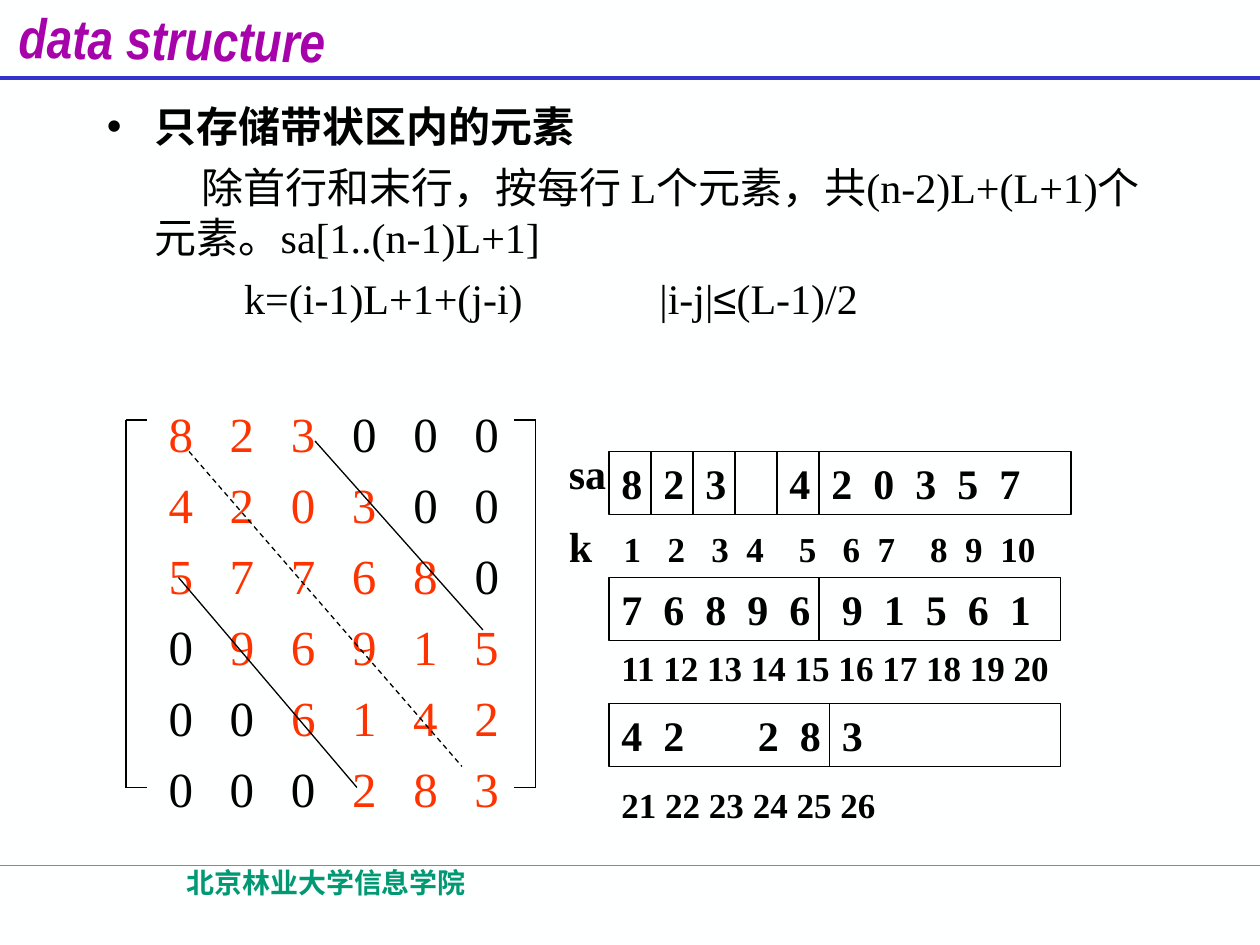
from itertools import groupby
from pptx import Presentation
from pptx.dml.color import RGBColor
from pptx.enum.dml import MSO_LINE
from pptx.enum.shapes import MSO_CONNECTOR, MSO_SHAPE
from pptx.enum.text import MSO_ANCHOR, PP_ALIGN
from pptx.oxml.ns import qn
from pptx.util import Inches, Pt
from lxml.etree import SubElement

C = {"bg": "FEFFFF", "ink": "000000", "band": "FF3300", "title": "A603AB",
     "rule": "3333CC", "foot_rule": "00CC99", "foot": "009973"}
SERIF, CJK = "Times New Roman", "Noto Sans CJK SC"

prs = Presentation()
prs.slide_width, prs.slide_height = Inches(10), Inches(7.5)
s = prs.slides.add_slide(prs.slide_layouts[6])
s.background.fill.solid()
s.background.fill.fore_color.rgb = RGBColor.from_string(C["bg"])
U = prs.slide_width / 120


def layout(p, size, before=0, left=0, first=0, bullet=None):
    p.alignment = PP_ALIGN.LEFT
    p.line_spacing = Pt(round(size * 1.2, 1))
    p.space_before = Pt(before)
    pPr = p._p.get_or_add_pPr()
    pPr.set("marL", str(Inches(left)))
    pPr.set("indent", str(Inches(first)))
    if bullet:
        SubElement(pPr, qn("a:buFont")).set("typeface", "Arial")
        SubElement(pPr, qn("a:buChar")).set("char", bullet)
    else:
        SubElement(pPr, qn("a:buNone"))


def add_run(p, text, size, color="ink", font=SERIF, bold=False, italic=False, spacing=0):
    r = p.add_run()
    r.text = text
    r.font.size = Pt(size)
    r.font.bold, r.font.italic = bold, italic
    r.font.color.rgb = RGBColor.from_string(C[color])
    r.font.name = font
    rPr = r._r.get_or_add_rPr()
    SubElement(rPr, qn("a:ea")).set("typeface", CJK)
    if spacing:
        rPr.set("spc", str(int(spacing * 100)))


sp = s.shapes.add_textbox(Inches(0.15), Inches(-0.01), Inches(2.8), Inches(0.54))
sp.rotation = 0.8
tf = sp.text_frame
tf.margin_left = tf.margin_right = 0
tf.word_wrap = True
p = tf.paragraphs[0]
layout(p, 32)
add_run(p, "data structure", 32, "title", "Arial Narrow", True, True)

sp = s.shapes.add_textbox(*(int(v * U) for v in (9, 9, 102, 72)))
tf = sp.text_frame
tf.word_wrap = True
p = tf.paragraphs[0]
layout(p, 24, left=0.38, first=-0.38, bullet="•")
add_run(p, "只存储带状区内的元素", 24, bold=True)
p = tf.add_paragraph()
layout(p, 24, before=6, left=0.38, first=0.37)
add_run(p, "除首行和末行，按每行 L个元素，共(n-2)L+(L+1)个元素。sa[1..(n-1)L+1]", 24)
p = tf.add_paragraph()
layout(p, 24, before=6, left=1.09)
add_run(p, "k=(i-1)L+1+(j-i)", 24)
add_run(p, " ", 24, spacing=72)
add_run(p, "|i-j|", 24)
add_run(p, "≤", 24, font="Arial")
add_run(p, "(L-1)/2", 24)

matrix = ["823000", "420300", "577680", "096915", "006142", "000283"]
for i, row in enumerate(matrix):
    p = tf.add_paragraph()
    layout(p, 28, before=7 if i else 46, left=0.49)
    for in_band, cells in groupby(enumerate(row), lambda c: abs(i - c[0]) <= 2):
        cells = list(cells)
        text = " ".join(v for _, v in cells)
        if cells[-1][0] < len(row) - 1:
            text += " "
        add_run(p, text, 28, "band" if in_band else "ink", spacing=7)

arrays = [
    (43, 44, [("8 2 3", 3), (" ", 27), ("4 2 0 3 5 7", 3)]),
    (55, 43, [("7 6 8 9 6", 3), (" ", 9), ("9 1 5 6 1", 3)]),
    (67, 43, [("4 2", 3), (" ", 33), ("2 8 3", 3)]),
]
for top, width, runs in arrays:
    sp = s.shapes.add_shape(MSO_SHAPE.RECTANGLE, *(int(v * U) for v in (58, top, width, 6)))
    sp.shadow.inherit = False
    sp.fill.background()
    sp.line.color.rgb = RGBColor.from_string(C["ink"])
    sp.line.width = Pt(0.75)
    sp.text_frame.word_wrap = True
    sp.text_frame.vertical_anchor = MSO_ANCHOR.TOP
    p = sp.text_frame.paragraphs[0]
    layout(p, 24)
    for text, spacing in runs:
        add_run(p, text, 24, bold=True, spacing=spacing)

k_runs = [("k", 24, 0), (" ", 24, 12), ("1", 20, 0)]
for k, spacing in enumerate((10, 10, 5, 15, 10, 5, 15, 5, 5), 2):
    k_runs += [(" ", 20, spacing), (str(k), 20, 0)]
labels = [
    (53, 42, 6, [("sa", 24, 0)]),
    (53, 49, 49, k_runs),
    (58, 61, 44, [("11 12 13 14 15 16 17 18 19 20", 20, 0)]),
    (58, 74, 29, [("21 22 23 24 25 26", 20, 0)]),
]
for left, top, width, runs in labels:
    sp = s.shapes.add_textbox(*(int(v * U) for v in (left, top, width, 6)))
    sp.text_frame.word_wrap = True
    p = sp.text_frame.paragraphs[0]
    layout(p, runs[0][1])
    for text, size, spacing in runs:
        add_run(p, text, size, bold=True, spacing=spacing)

sp = s.shapes.add_textbox(Inches(0.52), Inches(6.82), Inches(4.14), Inches(0.5))
sp.text_frame.word_wrap = True
p = sp.text_frame.paragraphs[0]
layout(p, 16)
p.alignment = PP_ALIGN.CENTER
add_run(p, "北京林业大学信息学院", 16, "foot", CJK, True)

lines = [(0, 82.44, 120, 82.44, "foot_rule", 0.75, False),
         (0, 7.44, 120, 7.44, "rule", 2.25, False),
         (18, 43, 44, 73, "ink", 0.75, True)]
thin = [(30, 42, 46, 60), (17, 55, 34, 75)]
for edge, lip in ((12, 14), (51, 49)):
    thin += [(edge, 40, edge, 75), (edge, 40, lip, 40), (edge, 75, lip, 75)]
for x, top in ((62, 43), (66, 43), (70, 43), (74, 43), (78, 43), (78, 55), (79, 67)):
    thin.append((x, top, x, top + 6))
lines += [ends + ("ink", 0.75, False) for ends in thin]
for x1, y1, x2, y2, color, width, dashed in lines:
    sp = s.shapes.add_connector(MSO_CONNECTOR.STRAIGHT, *(int(v * U) for v in (x1, y1, x2, y2)))
    sp.line.color.rgb = RGBColor.from_string(C[color])
    sp.line.width = Pt(width)
    if dashed:
        sp.line.dash_style = MSO_LINE.DASH
    SubElement(sp._element.spPr, qn("a:effectLst"))

prs.save("out.pptx")
